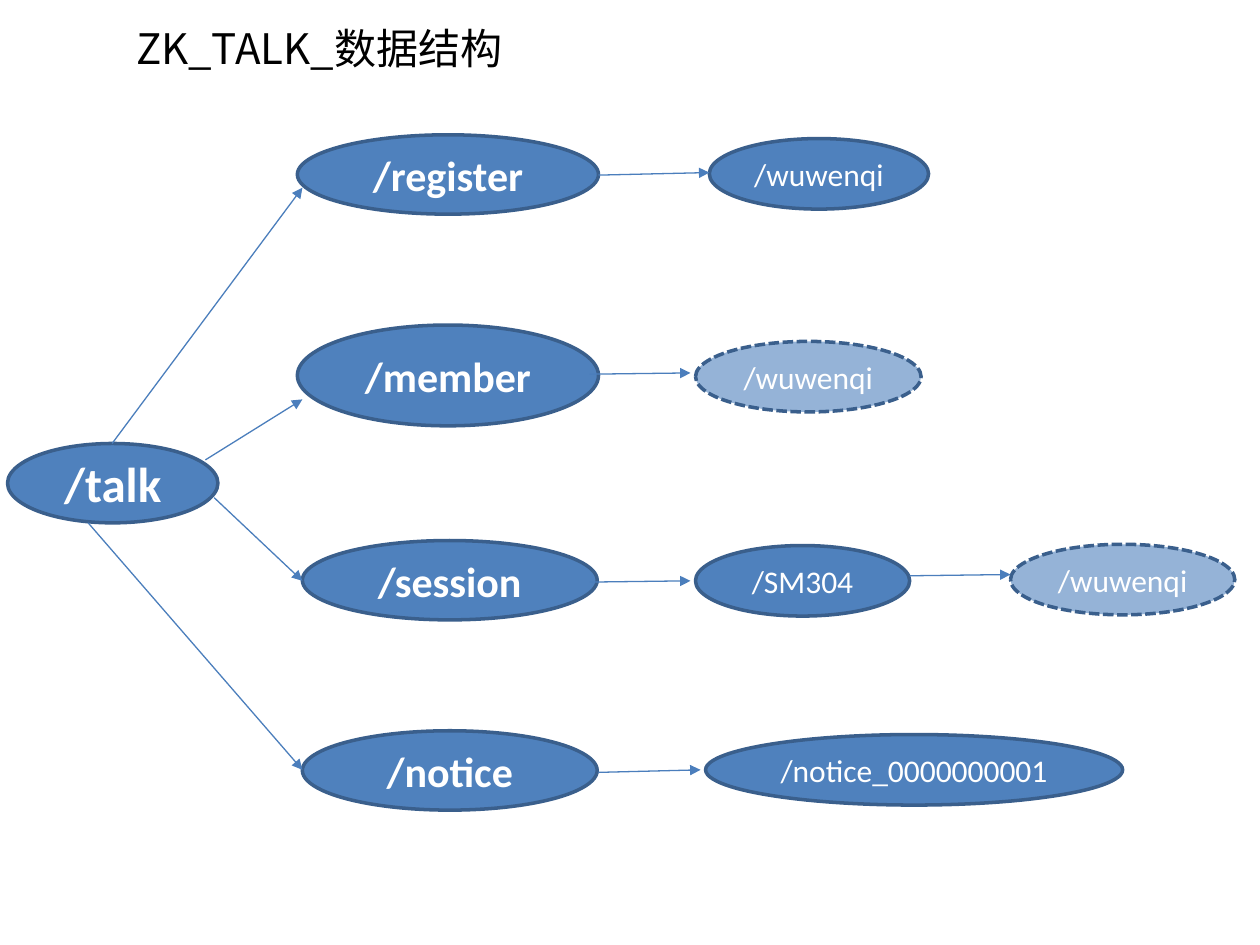
from typing import NamedTuple

import pptx
import pptx.dml.color
import pptx.enum.dml
import pptx.enum.shapes
import pptx.enum.text
import pptx.oxml
import pptx.oxml.ns
import pptx.util

Inches = pptx.util.Inches
Pt = pptx.util.Pt
RGBColor = pptx.dml.color.RGBColor

BLUE = RGBColor(0x4F, 0x81, 0xBD)
PALE_BLUE = RGBColor(0x95, 0xB3, 0xD7)
OUTLINE = RGBColor(0x3A, 0x5F, 0x8C)
ARROW = RGBColor(0x4B, 0x7E, 0xBC)
WHITE = RGBColor(0xFF, 0xFF, 0xFF)
BLACK = RGBColor(0, 0, 0)

TITLE_FONT = "Noto Sans CJK SC"
ROOT = {"name": "Calibri", "size": Pt(28), "bold": True}
BRANCH = {"name": "Calibri", "size": Pt(24), "bold": True}
LEAF = {"name": "Calibri", "size": Pt(18), "bold": False}


class Node(NamedTuple):
    label: str
    left: float
    top: float
    width: float
    height: float
    style: dict
    ephemeral: bool = False


class Arrow(NamedTuple):
    x1: float
    y1: float
    x2: float
    y2: float


NODES = [
    Node("/talk", 0.06, 3.52, 1.67, 0.63, ROOT),
    Node("/register", 2.36, 1.07, 2.39, 0.63, BRANCH),
    Node("/member", 2.36, 2.58, 2.39, 0.8, BRANCH),
    Node("/session", 2.4, 4.29, 2.34, 0.63, BRANCH),
    Node("/notice", 2.4, 5.8, 2.34, 0.63, BRANCH),
    Node("/wuwenqi", 5.63, 1.1, 1.74, 0.56, LEAF),
    Node("/wuwenqi", 5.52, 2.71, 1.79, 0.56, LEAF, True),
    Node("/SM304", 5.52, 4.33, 1.7, 0.56, LEAF),
    Node("/notice_0000000001", 5.6, 5.83, 3.31, 0.56, LEAF),
    Node("/wuwenqi", 8.02, 4.32, 1.78, 0.56, LEAF, True),
]

ARROWS = [
    # root to branches
    Arrow(0.89, 3.52, 2.4, 1.49),
    Arrow(1.63, 3.65, 2.4, 3.17),
    Arrow(1.7, 3.95, 2.4, 4.61),
    Arrow(0.7, 4.15, 2.4, 6.11),
    # branches to leaves
    Arrow(4.75, 1.39, 5.63, 1.37),
    Arrow(4.68, 2.97, 5.48, 2.96),
    Arrow(4.68, 4.62, 5.48, 4.61),
    Arrow(4.75, 6.13, 5.56, 6.11),
    Arrow(7.22, 4.57, 8.02, 4.56),
]


def format_font(font, values: dict, color: RGBColor) -> None:
    for name, value in values.items():
        setattr(font, name, value)
    font.color.rgb = color


def write_title(page, text: str) -> None:
    title = page.shapes.title
    bounds = {"left": 0.98, "top": 0.13, "width": 8.12, "height": 0.5}
    for name, value in bounds.items():
        setattr(title, name, Inches(value))
    frame = title.text_frame
    frame.vertical_anchor = pptx.enum.text.MSO_ANCHOR.TOP
    frame.word_wrap = True
    para = frame.paragraphs[0]
    para.alignment = pptx.enum.text.PP_ALIGN.LEFT
    span = para.add_run()
    span.text = text
    format_font(span.font, {"name": TITLE_FONT, "size": Pt(24)}, BLACK)
    east_asian = pptx.oxml.parse_xml(
        f'<a:ea {pptx.oxml.ns.nsdecls("a")} typeface="{TITLE_FONT}"/>')
    span.font._element.append(east_asian)


def draw_node(page, node: Node) -> None:
    ellipse = page.shapes.add_shape(
        pptx.enum.shapes.MSO_SHAPE.OVAL,
        Inches(node.left), Inches(node.top), Inches(node.width), Inches(node.height))
    ellipse.shadow.inherit = False
    ellipse.fill.solid()
    ellipse.fill.fore_color.rgb = PALE_BLUE if node.ephemeral else BLUE
    ellipse.line.color.rgb = OUTLINE
    ellipse.line.width = Pt(2)
    if node.ephemeral:
        ellipse.line.dash_style = pptx.enum.dml.MSO_LINE.SQUARE_DOT
    frame = ellipse.text_frame
    frame.word_wrap = False
    frame.vertical_anchor = pptx.enum.text.MSO_ANCHOR.MIDDLE
    para = frame.paragraphs[0]
    para.alignment = pptx.enum.text.PP_ALIGN.CENTER
    span = para.add_run()
    span.text = node.label
    format_font(span.font, node.style, WHITE)


def draw_arrow(page, arrow: Arrow) -> None:
    connector = page.shapes.add_connector(
        pptx.enum.shapes.MSO_CONNECTOR.STRAIGHT, *(Inches(value) for value in arrow))
    connector.line.color.rgb = ARROW
    connector.line.width = Pt(0.75)
    namespace = pptx.oxml.ns.nsdecls("a")
    connector.line._get_or_add_ln().append(
        pptx.oxml.parse_xml(f'<a:tailEnd {namespace} type="triangle"/>'))
    connector._element.spPr.append(pptx.oxml.parse_xml(f"<a:effectLst {namespace}/>"))


def main() -> None:
    deck = pptx.Presentation()
    deck.slide_width, deck.slide_height = Inches(10), Inches(7.5)
    page = deck.slides.add_slide(deck.slide_layouts.get_by_name("Title Only"))
    write_title(page, "ZK_TALK_数据结构")
    for node in NODES:
        draw_node(page, node)
    for arrow in ARROWS:
        draw_arrow(page, arrow)
    deck.save("out.pptx")


if __name__ == "__main__":
    main()
